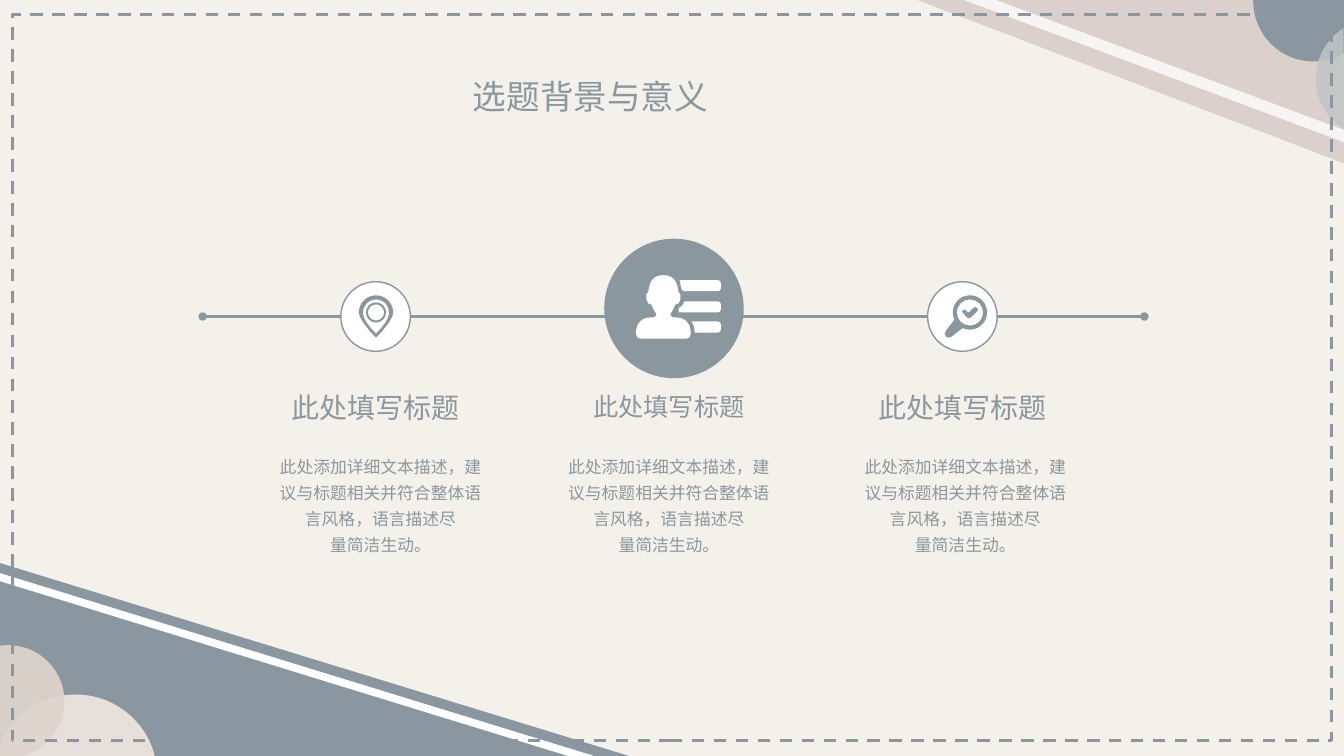
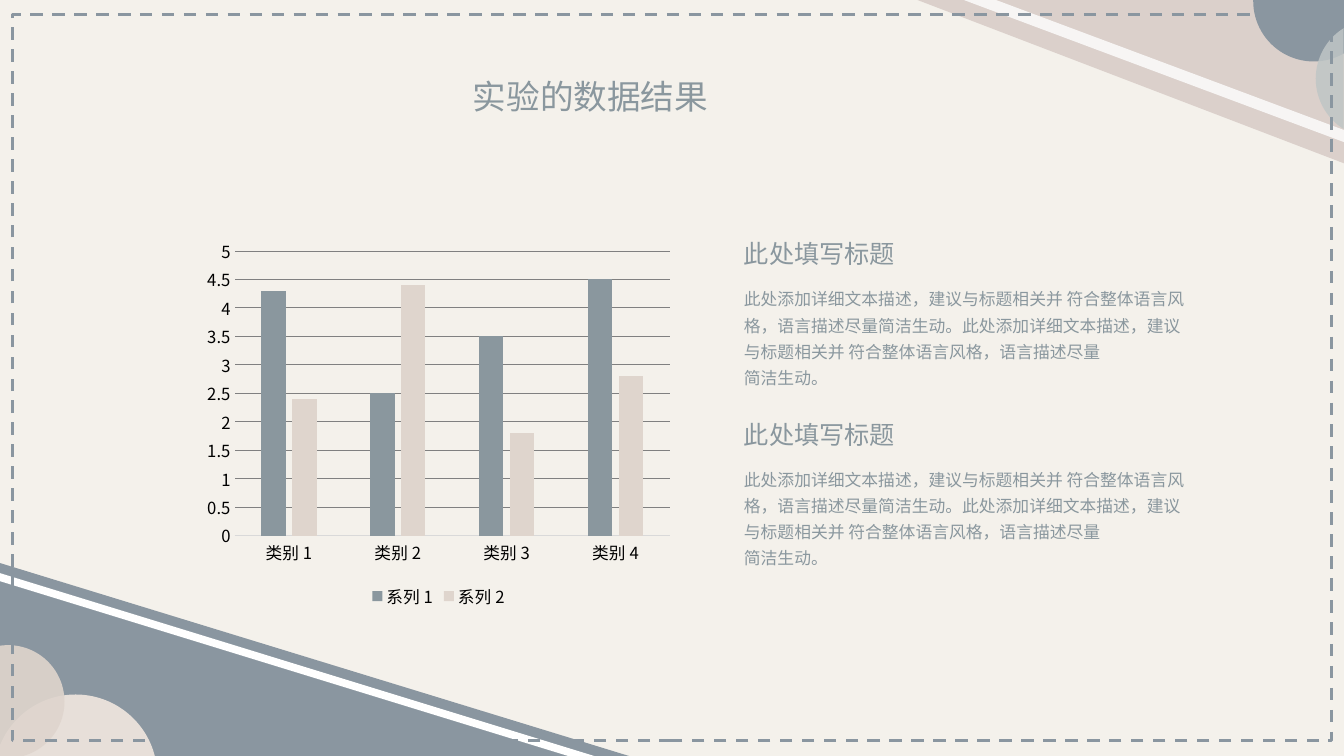
from dataclasses import dataclass
from math import ceil, cos, radians, sin, tan

from lxml.etree import SubElement
from pptx import Presentation
from pptx.chart.data import CategoryChartData
from pptx.dml.color import RGBColor
from pptx.enum.chart import XL_CHART_TYPE, XL_LEGEND_POSITION, XL_TICK_MARK
from pptx.enum.dml import MSO_LINE
from pptx.enum.shapes import MSO_CONNECTOR, MSO_SHAPE
from pptx.enum.text import MSO_ANCHOR, MSO_AUTO_SIZE, PP_ALIGN
from pptx.oxml.ns import qn
from pptx.util import Inches, Pt

W, H = 13.33, 7.5


@dataclass(frozen=True)
class Theme:
    font: str = "Noto Sans CJK SC"
    paper: str = "F4F1EB"
    slate: str = "8A979E"
    band: str = "8A96A0"
    rose: str = "DBD0CB"
    mist: str = "BFC6C6"
    shell: str = "E7DFD9"
    sand: str = "DFD5CD"
    white: str = "FFFFFF"
    black: str = "000000"
    grid: str = "808080"
    axis: str = "D9D9D9"
    title: float = 24
    heading: float = 20
    subheading: float = 18
    body: float = 12
    chart: float = 11.9
    spacing: float = 1.3


THEME = Theme()
HEADING = "此处填写标题"
COLUMN_TEXT = "此处添加详细文本描述，建\n议与标题相关并符合整体语\n言风格，语言描述尽\n量简洁生动。"
WIDE_TEXT = ("此处添加详细文本描述，建议与标题相关并 符合整体语言风格，语言描述尽量简洁生动。"
             "此处添加详细文本描述，建议与标题相关并 符合整体语言风格，语言描述尽量\n简洁生动。")


def rgb(color):
    return RGBColor.from_string(color)


def box(left, top, width, height):
    return [Inches(v) for v in (left, top, width, height)]


def style_font(font, size, color=THEME.slate):
    """Set size, colour and both the Latin and East Asian typeface."""
    font.size = Pt(size)
    font.color.rgb = rgb(color)
    font.name = THEME.font
    SubElement(font._element, qn("a:ea"), typeface=THEME.font)


def paint(sp, fill=None, line=None, width=1, alpha=None):
    sp.shadow.inherit = False
    if fill:
        sp.fill.solid()
        sp.fill.fore_color.rgb = rgb(fill)
    else:
        sp.fill.background()
    if alpha:
        color = sp.element.spPr.find(".//" + qn("a:srgbClr"))
        SubElement(color, qn("a:alpha"), val=str(alpha * 1000))
    if line:
        sp.line.color.rgb = rgb(line)
        sp.line.width = Pt(width)
    else:
        sp.line.fill.background()
    return sp


def add_preset(shapes, kind, frame, **look):
    return paint(shapes.add_shape(kind, *box(*frame)), **look)


def pairs(segment):
    return list(zip(segment[::2], segment[1::2]))


def add_outline(shapes, contours, fill, alpha=None):
    """Draw closed contours as one shape; an inner contour makes a hole.

    A contour is a start point, then lines (2 numbers) or cubic curves (6).
    """
    builder = None
    for contour in contours:
        start, *rest = [(Inches(x), Inches(y)) for seg in contour for x, y in pairs(seg)]
        if builder:
            builder.move_to(*start)
        else:
            builder = shapes.build_freeform(*start, scale=1.0)
        builder.add_line_segments(rest, close=True)
    sp = builder.convert_to_shape()
    lines = iter(list(sp.element.iter(qn("a:lnTo"))))
    for seg in (s for contour in contours for s in contour[1:]):
        first = next(lines)
        if len(seg) == 6:
            for extra in (next(lines), next(lines)):
                first.append(extra[0])
                extra.getparent().remove(extra)
            first.tag = qn("a:cubicBezTo")
    return paint(sp, fill, alpha=alpha)


def arc(x, y, radius, start=0, end=360):
    """Contour of a circular arc, clockwise in degrees from the right."""
    n = ceil((end - start) / 90)
    step = radians((end - start) / n)
    k = 4 / 3 * tan(step / 4)

    def at(angle, pull=0):
        return (x + radius * (cos(angle) - pull * sin(angle)),
                y + radius * (sin(angle) + pull * cos(angle)))

    angles = [radians(start) + i * step for i in range(n + 1)]
    return [at(angles[0])] + [at(a, k) + at(b, -k) + at(b) for a, b in zip(angles, angles[1:])]


def mirrored(half, x):
    """Complete a right half, which ends on the axis, with its reflection."""
    back = []
    for before, seg in reversed(list(zip(half, half[1:]))):
        points = pairs(seg)[-2::-1] + [before[-2:]]
        back.append(tuple(v for px, py in points for v in (2 * x - px, py)))
    return half + back


def add_text(shapes, frame, text, size, align=None, spacing=None):
    tf = shapes.add_textbox(*box(*frame)).text_frame
    tf.word_wrap = True
    tf.auto_size = MSO_AUTO_SIZE.SHAPE_TO_FIT_TEXT
    tf.text = text
    for p in tf.paragraphs:
        p.alignment = align
        p.line_spacing = spacing
        for r in p.runs:
            style_font(r.font, size)


def draw_top_corner(shapes):
    add_outline(shapes, [[(9.1, 0), (W, 0), (W, 1.62)]], THEME.rose)
    add_outline(shapes, [[(9.56, 0), (9.88, 0), (W, 1.29), (W, 1.41)]], THEME.white, 80)
    add_outline(shapes, [arc(13.03, 0.01, 0.6, 60, 180) + [(12.43, 0), (W, 0)]], THEME.band)
    add_outline(shapes, [arc(13.64, 0.78, 0.59, 122, 238)], THEME.mist, 85)


def draw_bottom_corner(shapes):
    add_preset(shapes, MSO_SHAPE.RIGHT_TRIANGLE, (-0.02, 5.58, 6.29, 1.93), fill=THEME.band)
    stripe = add_preset(shapes, MSO_SHAPE.DIAGONAL_STRIPE, (-0.02, 5.68, 6.01, 1.85),
                        fill=THEME.white)
    stripe.adjustments[0] = 0.957
    stripe.element.spPr.xfrm.set("flipV", "1")
    add_outline(shapes, [arc(0.75, 7.7, 0.81, 194, 346)], THEME.shell)
    add_outline(shapes, [arc(0.08, 6.96, 0.56, -100, 100)], THEME.sand, 91)


def set_up_layout(prs):
    """Give the title-only layout its background and title place."""
    layout = prs.slide_layouts[5]
    fill = prs.slide_master.background.fill
    fill.solid()
    fill.fore_color.rgb = rgb(THEME.paper)
    title, *footers = layout.placeholders
    for sp in footers:
        layout.shapes.element.remove(sp.element)
    title.left, title.top, title.width, title.height = box(4.59, 0.7, 4.15, 0.5)
    title.text_frame.vertical_anchor = MSO_ANCHOR.TOP
    return layout


def move_to_layout(slide):
    """Layouts cannot create shapes, so hand over those drawn on a slide."""
    drawn = [sp for sp in slide.shapes if not sp.is_placeholder]
    for number, sp in enumerate(drawn, 100):
        sp.element.nvSpPr.cNvPr.set("id", str(number))
        slide.slide_layout.shapes.element.append(sp.element)


def decorate(slide):
    shapes = slide.shapes
    draw_top_corner(shapes)
    draw_bottom_corner(shapes)
    border = add_preset(shapes, MSO_SHAPE.RECTANGLE, (0.12, 0.14, 13.09, 7.21),
                        line=THEME.band, width=2.25)
    border.line.dash_style = MSO_LINE.DASH
    move_to_layout(slide)


def set_title(slide, text):
    tf = slide.shapes.title.text_frame
    tf.text = text
    tf.auto_size = MSO_AUTO_SIZE.NONE
    p = tf.paragraphs[0]
    p.alignment = PP_ALIGN.JUSTIFY
    style_font(p.runs[0].font, THEME.title)


def add_timeline(shapes, left, right, y):
    line = shapes.add_connector(MSO_CONNECTOR.STRAIGHT, *box(left, y, right, y))
    line.line.color.rgb = rgb(THEME.slate)
    line.line.width = Pt(2)
    for end in ("a:headEnd", "a:tailEnd"):
        SubElement(line.line._get_or_add_ln(), qn(end), type="oval")
    SubElement(line.element.spPr, qn("a:effectLst"))


def add_badge(shapes, x, y, size, fill):
    frame = (x - size / 2, y - size / 2, size, size)
    add_preset(shapes, MSO_SHAPE.OVAL, frame, fill=fill, line=THEME.slate)


def pin_icon():
    x, y = 3.73, 3.1

    def drop(radius, tip):
        side = (x + radius, y + 0.06, x + 0.07, tip - 0.07, x, tip)
        return mirrored(arc(x, y, radius, 270, 360) + [side], x)

    return [arc(x, y, 0.08), arc(x, y, 0.1), drop(0.13, 3.31), drop(0.17, 3.35)]


def profile_icon():
    x = 6.58
    person = [(x, 2.73), (6.7, 2.73, 6.72, 2.82, 6.73, 2.9),
              (6.75, 2.9, 6.75, 2.93, 6.75, 2.95), (6.75, 2.98, 6.73, 3.03, 6.7, 3.02),
              (6.69, 3.05, 6.67, 3.08, 6.66, 3.1), (6.65, 3.1, 6.65, 3.11, 6.65, 3.12),
              (6.65, 3.13, 6.66, 3.15, 6.68, 3.15), (6.71, 3.15),
              (6.79, 3.15, 6.85, 3.21, 6.85, 3.28), (6.85, 3.32),
              (6.85, 3.34, 6.83, 3.36, 6.81, 3.36), (x, 3.36)]
    left_edges = ([(6.78, 2.89), (6.76, 2.87), (6.74, 2.78)],
                  [(6.73, 3.1), (6.73, 3.06), (6.76, 3.05, 6.78, 3.02, 6.79, 2.99)],
                  [(6.89, 3.3), (6.89, 3.28), (6.89, 3.25, 6.88, 3.22, 6.86, 3.19)])
    bars = [arc(7.12, edge[-1][-1] + 0.03, 0.03, -90, 0)
            + arc(7.12, edge[0][1] - 0.03, 0.03, 0, 90) + edge for edge in left_edges]
    return bars + [mirrored(person, x)]


def search_icon():
    x, y = 9.62, 3.1
    glass = arc(x, y, 0.17, 155, 475) + arc(9.41, 3.31, 0.04, 45, 225)
    check = [(9.54, 3.09), (9.55, 3.07, 9.57, 3.06, 9.59, 3.09), (9.61, 3.1), (9.66, 3.05),
             (9.67, 3.04, 9.71, 3.06, 9.7, 3.08), (9.63, 3.15), (9.62, 3.16, 9.6, 3.16, 9.59, 3.15)]
    return [check, arc(x, y, 0.13), glass]


def build_background(slide):
    shapes = slide.shapes
    set_title(slide, "选题背景与意义")
    add_timeline(shapes, 2.01, 11.35, 3.14)
    small, large = (3.14, 0.69, THEME.white), (3.06, 1.37, THEME.slate)
    columns = (
        # badge, badge shift, icon, icon colour, heading size, body shift
        (small, 0, pin_icon(), THEME.slate, THEME.heading, 0.05),
        (large, 0.05, profile_icon(), THEME.white, THEME.subheading, 0),
        (small, 0, search_icon(), THEME.slate, THEME.heading, 0.03),
    )
    width, gap = 2.43, 0.48
    for i, (badge, badge_dx, icon, color, size, body_dx) in enumerate(columns):
        left = 2.51 + i * (width + gap)
        add_badge(shapes, left + width / 2 + badge_dx, *badge)
        add_outline(shapes, icon, color)
        add_text(shapes, (left, 3.83, width, 0.44), HEADING, size, PP_ALIGN.CENTER)
        add_text(shapes, (left + body_dx, 4.42, width, 1.13), COLUMN_TEXT, THEME.body,
                 PP_ALIGN.CENTER, THEME.spacing)


def add_column_chart(shapes, frame, categories, series):
    data = CategoryChartData()
    data.categories = categories
    for name, values, _ in series:
        data.add_series(name, values)
    chart = shapes.add_chart(XL_CHART_TYPE.COLUMN_CLUSTERED, *box(*frame), data).chart
    chart.has_title = False
    chart.has_legend = True
    chart.legend.position = XL_LEGEND_POSITION.BOTTOM
    chart.legend.include_in_layout = False
    plot = chart.plots[0]
    plot.gap_width, plot.overlap, plot.vary_by_categories = 219, -27, False
    for s, (_, _, color) in zip(plot.series, series):
        s.format.fill.solid()
        s.format.fill.fore_color.rgb = rgb(color)
    x_axis, y_axis = chart.category_axis, chart.value_axis
    for axis in (x_axis, y_axis):
        axis.major_tick_mark = axis.minor_tick_mark = XL_TICK_MARK.NONE
    for part in (chart.legend, x_axis.tick_labels, y_axis.tick_labels):
        style_font(part.font, THEME.chart, THEME.black)
    y_axis.minimum_scale, y_axis.maximum_scale, y_axis.major_unit = 0, 5, 0.5
    y_axis.format.line.fill.background()
    for line, color in ((x_axis.format.line, THEME.axis),
                        (y_axis.major_gridlines.format.line, THEME.grid)):
        line.color.rgb = rgb(color)
        line.width = Pt(0.75)


def build_results(slide):
    shapes = slide.shapes
    set_title(slide, "实验的数据结果")
    add_column_chart(shapes, (1.96, 2.29, 4.78, 3.79), [f"类别 {n}" for n in range(1, 5)],
                     (("系列 1", (4.3, 2.5, 3.5, 4.5), THEME.slate),
                      ("系列 2", (2.4, 4.4, 1.8, 2.8), THEME.sand)))
    for top in (2.32, 4.11):
        add_text(shapes, (7.28, top, 1.83, 0.4), HEADING, THEME.subheading)
        add_text(shapes, (7.28, top + 0.44, 4.65, 1.13), WIDE_TEXT, THEME.body,
                 spacing=THEME.spacing)


def main():
    prs = Presentation()
    prs.slide_width, prs.slide_height = Inches(W), Inches(H)
    layout = set_up_layout(prs)
    background, results = (prs.slides.add_slide(layout) for _ in range(2))
    decorate(background)
    build_background(background)
    build_results(results)
    prs.save("out.pptx")


if __name__ == "__main__":
    main()
